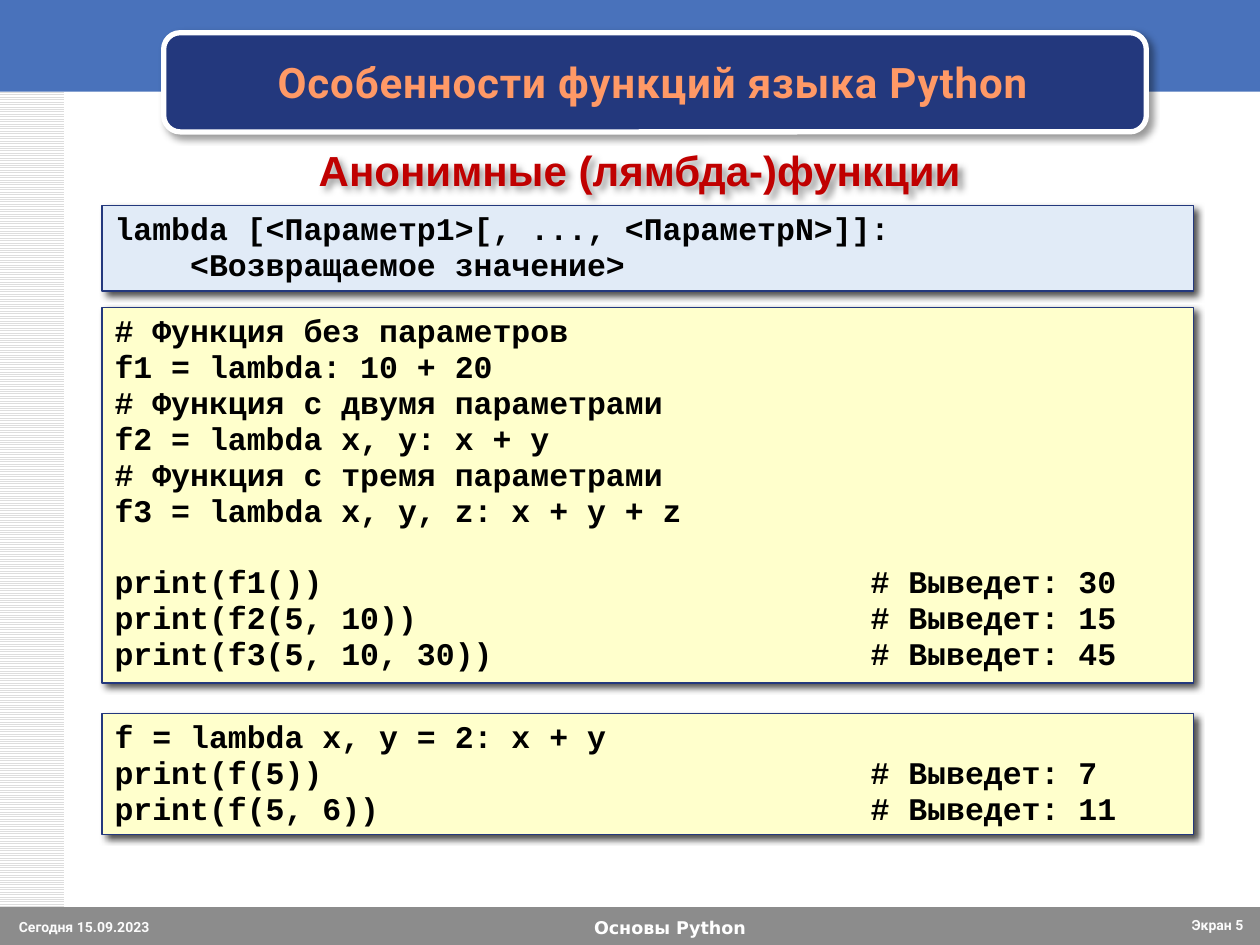
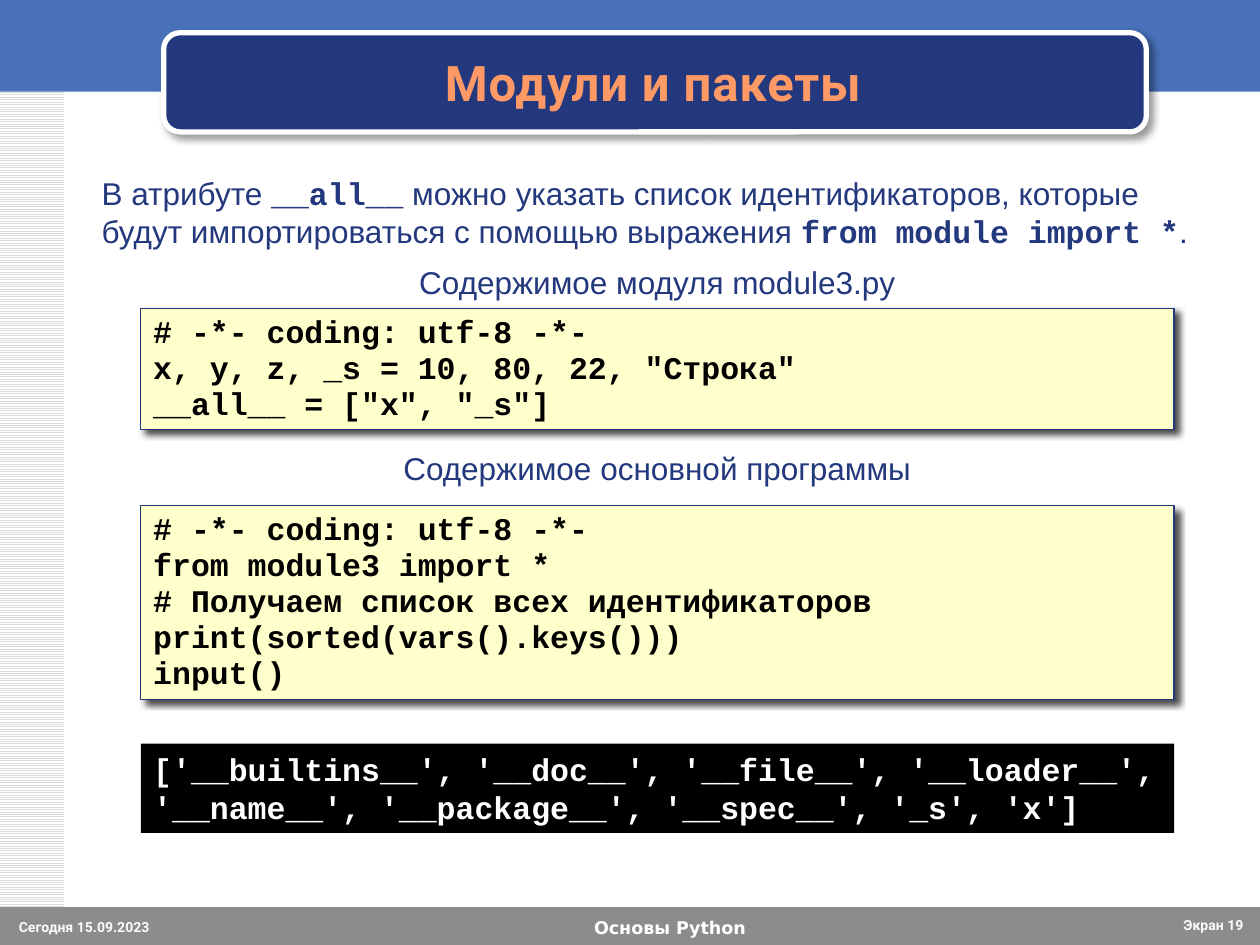
import lxml.etree
import pptx
import pptx.dml.color
import pptx.enum.dml
import pptx.enum.shapes
import pptx.enum.text
import pptx.oxml
import pptx.oxml.ns
import pptx.util

Cm = pptx.util.Cm
Pt = pptx.util.Pt
ALIGN = pptx.enum.text.PP_ALIGN
SHAPE = pptx.enum.shapes.MSO_SHAPE

COLOURS = {
    "white": "FFFFFF",
    "black": "000000",
    "band": "4972BB",
    "navy": "23387D",
    "footer": "8C8C8C",
    "footer_text": "FBFBFB",
    "stripe": "DDDDDD",
    "title": "FF9966",
    "subtitle": "C00000",
    "syntax": "E1EBF7",
    "code": "FFFFCC",
}
MONO = "Courier New"
SANS = "Arial"
BLANK_LINE = 20.4

SYNTAX = """lambda [<Параметр1>[, ..., <ПараметрN>]]:
    <Возвращаемое значение>"""

LAMBDAS = """# Функция без параметров
f1 = lambda: 10 + 20
# Функция с двумя параметрами
f2 = lambda x, у: x + у
# Функция с тремя параметрами
f3 = lambda x, y, z: x + у + z

print(f1())\t# Выведет: 30
print(f2(5, 10))\t# Выведет: 15
print(f3(5, 10, 30))\t# Выведет: 45"""

DEFAULT_VALUE = """f = lambda х, y = 2: х + y
print(f(5))\t# Выведет: 7
print(f(5, 6))\t# Выведет: 11"""

MODULE = """# -*- coding: utf-8 -*-
x, у, z, _s = 10, 80, 22, "Строка"
__all__ = ["x", "_s"]"""

PROGRAM = """# -*- coding: utf-8 -*-
from module3 import *
# Получаем список всех идентификаторов
print(sorted(vars().keys()))
input()"""

OUTPUT = ("['__builtins__', '__doc__', '__file__', '__loader__', "
          "'__name__', '__package__', '__spec__', '_s', 'x']")


def colour(name):
    """Return the palette colour with this name."""
    return pptx.dml.color.RGBColor.from_string(COLOURS[name])


def style_font(font, name, size, colour_name, bold=False):
    """Set the typeface, size, colour and weight of a font."""
    font.name = name
    font.size = Pt(size)
    font.bold = bold
    font.color.rgb = colour(colour_name)


def add_shadow(shape, opacity):
    """Give a shape a soft black shadow to the lower right."""
    properties = shape.element.spPr
    for old in properties.findall(pptx.oxml.ns.qn("a:effectLst")):
        properties.remove(old)
    properties.append(pptx.oxml.parse_xml(
        f'<a:effectLst {pptx.oxml.ns.nsdecls("a")}>'
        f'<a:outerShdw blurRad="{Pt(4)}" dist="{Pt(3)}" dir="2700000" algn="tl" rotWithShape="0">'
        f'<a:srgbClr val="{COLOURS["black"]}"><a:alpha val="{opacity * 1000}"/></a:srgbClr>'
        '</a:outerShdw></a:effectLst>'))


def add_box(slide, left, top, width, height, fill, line=None, line_width=0.75, kind=SHAPE.RECTANGLE):
    """Add a filled preset shape, outlined only when a line colour is given."""
    box = slide.shapes.add_shape(kind, Cm(left), Cm(top), Cm(width), Cm(height))
    box.shadow.inherit = False
    box.fill.solid()
    box.fill.fore_color.rgb = colour(fill)
    if line:
        box.line.color.rgb = colour(line)
        box.line.width = Pt(line_width)
    else:
        box.line.fill.background()
    return box


def add_text(slide, left, top, width, height, text, name, size, colour_name, bold=False, align=ALIGN.LEFT):
    """Add a wrapping text box with one paragraph."""
    box = slide.shapes.add_textbox(Cm(left), Cm(top), Cm(width), Cm(height))
    box.text_frame.word_wrap = True
    paragraph = box.text_frame.paragraphs[0]
    paragraph.text = text
    paragraph.alignment = align
    style_font(paragraph.font, name, size, colour_name, bold)
    return box


def add_comment_tab(paragraph):
    """Set the tab stop at which trailing code comments start."""
    properties = paragraph._p.get_or_add_pPr()
    tabs = lxml.etree.SubElement(properties, pptx.oxml.ns.qn("a:tabLst"))
    lxml.etree.SubElement(tabs, pptx.oxml.ns.qn("a:tab"), pos=str(Cm(15.24)), algn="l")


def add_code(slide, left, top, width, height, code, fill="code", line="navy", text_colour="black", spacing=0.95):
    """Add a code panel, one paragraph for each line of code."""
    panel = add_box(slide, left, top, width, height, fill, line)
    if line:
        add_shadow(panel, 70)
    frame = panel.text_frame
    frame.word_wrap = True
    frame.vertical_anchor = pptx.enum.text.MSO_ANCHOR.TOP
    for block_number, block in enumerate(code.split("\n\n")):
        for line_number, code_line in enumerate(block.split("\n")):
            first = block_number == line_number == 0
            paragraph = frame.paragraphs[0] if first else frame.add_paragraph()
            paragraph.text = code_line
            paragraph.alignment = ALIGN.LEFT
            paragraph.line_spacing = spacing
            if block_number and not line_number:
                paragraph.space_before = Pt(BLANK_LINE)
            if "\t" in code_line:
                add_comment_tab(paragraph)
            style_font(paragraph.font, MONO, 18, text_colour, True)


def add_caption(slide, top, text):
    """Add a centred caption above a code panel."""
    add_text(slide, 7.75, top, 11, 1.02, text, SANS, 18, "navy", align=ALIGN.CENTER)


def add_mixed_text(slide, left, top, width, height, pieces):
    """Add a paragraph of alternating plain and code pieces."""
    box = slide.shapes.add_textbox(Cm(left), Cm(top), Cm(width), Cm(height))
    box.text_frame.word_wrap = True
    paragraph = box.text_frame.paragraphs[0]
    for position, piece in enumerate(pieces):
        is_code = position % 2 == 1
        run = paragraph.add_run()
        run.text = piece
        style_font(run.font, MONO if is_code else SANS, 18, "navy", is_code)


def decorate_layout(layout, slide):
    """Draw the shared bands and title plate and move them to the layout."""
    stripes = add_box(slide, 0, 0, 1.3, 19.05, "white")
    stripes.fill.patterned()
    stripes.fill.pattern = pptx.enum.dml.MSO_PATTERN.LIGHT_HORIZONTAL
    stripes.fill.fore_color.rgb = colour("stripe")
    stripes.fill.back_color.rgb = colour("white")
    header = add_box(slide, 0, -0.08, 25.4, 1.93, "band")
    plate = add_box(slide, 3.3, 0.66, 19.81, 2, "navy", "white", 3, SHAPE.ROUNDED_RECTANGLE)
    add_shadow(plate, 40)
    footer = add_box(slide, 0, 18.29, 25.4, 0.84, "footer")
    course = add_text(slide, 6.76, 18.36, 13.49, 0.69, "Основы Python",
                      "DejaVu Sans", 10, "white", True, ALIGN.CENTER)
    for position, shape in enumerate([stripes, header, plate, footer, course], 2):
        layout.shapes.element.insert(position, shape.element)


def fill_frame(slide, title_text, title_size, number):
    """Fill in the title, the date and the screen number."""
    title = slide.shapes.title
    title.left, title.top, title.width, title.height = Cm(3.5), Cm(0.86), Cm(19.33), Cm(1.57)
    title.text_frame.vertical_anchor = pptx.enum.text.MSO_ANCHOR.MIDDLE
    paragraph = title.text_frame.paragraphs[0]
    paragraph.text = title_text
    paragraph.alignment = ALIGN.CENTER
    style_font(paragraph.font, "Roboto", title_size, "title", True)
    paragraph._p.pPr.find(pptx.oxml.ns.qn("a:defRPr")).set("spc", "50")
    add_text(slide, 0.13, 18.39, 4.19, 0.66, "Сегодня 15.09.2023", "Roboto", 8, "footer_text", True)
    add_text(slide, 23.19, 18.36, 2.13, 0.69, f"Экран {number}", "Roboto", 8, "footer_text", True, ALIGN.RIGHT)


def build_lambda_slide(slide):
    """Build the slide on anonymous functions."""
    fill_frame(slide, "Особенности функций языка Python", 24, 5)
    subtitle = add_text(slide, 5.72, 2.79, 14.35, 1.27, "Анонимные (лямбда-)функции",
                        SANS, 24, "subtitle", True, ALIGN.CENTER)
    add_shadow(subtitle, 40)
    left, width = 2.06, 22
    add_code(slide, left, 4.14, width, 1.73, SYNTAX, "syntax")
    add_code(slide, left, 6.2, width, 7.57, LAMBDAS)
    add_code(slide, left, 14.38, width, 2.44, DEFAULT_VALUE)


def build_module_slide(slide):
    """Build the slide on modules and packages."""
    fill_frame(slide, "Модули и пакеты", 28, 19)
    add_mixed_text(slide, 1.8, 3.38, 22.94, 1.8, [
        "В атрибуте ", "__all__",
        " можно указать список идентификаторов, которые будут импортироваться с помощью выражения ",
        "from module import *", "."])
    left, width = 2.84, 20.83
    add_caption(slide, 5.18, "Содержимое модуля module3.py")
    add_code(slide, left, 6.22, width, 2.44, MODULE)
    add_caption(slide, 8.92, "Содержимое основной программы")
    add_code(slide, left, 10.19, width, 3.91, PROGRAM)
    add_code(slide, left, 14.99, width, 1.8, OUTPUT, "black", None, "white", 1.0)


def main():
    """Build both slides and save the presentation."""
    presentation = pptx.Presentation()
    presentation.slide_width, presentation.slide_height = Cm(25.4), Cm(19.05)
    layout = presentation.slide_layouts.get_by_name("Title Only")
    slides = [presentation.slides.add_slide(layout) for _ in range(2)]
    decorate_layout(layout, slides[0])
    build_lambda_slide(slides[0])
    build_module_slide(slides[1])
    presentation.save("out.pptx")


if __name__ == "__main__":
    main()
